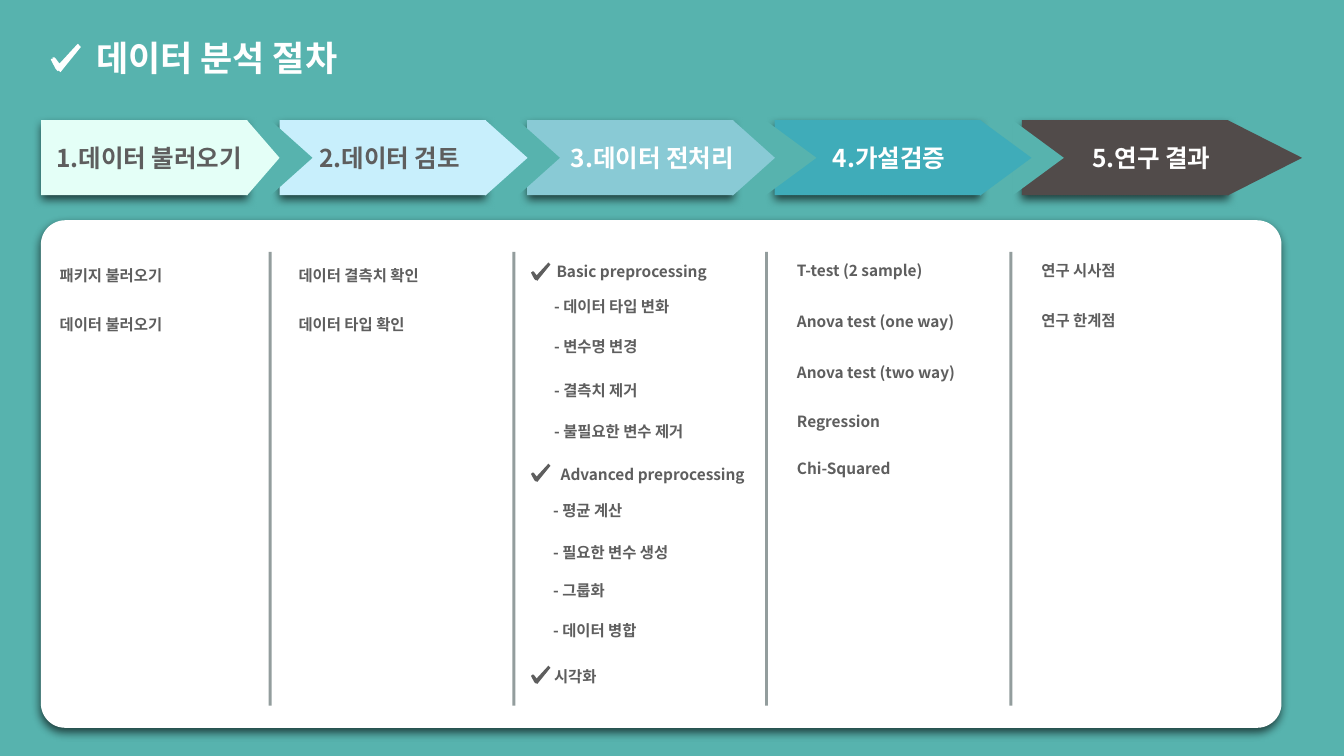
from lxml import etree
from pptx import Presentation
from pptx import util as u
from pptx.dml.color import RGBColor
from pptx.enum import shapes, text
from pptx.oxml import ns

Cm = u.Cm
FONT = "Noto Sans CJK KR"
TEAL = RGBColor(0x57, 0xB3, 0xAE)
WHITE = RGBColor(0xFF, 0xFF, 0xFF)
GREY = RGBColor(0x5E, 0x5E, 0x5E)
DIVIDER = RGBColor(0x93, 0x9D, 0x9D)
MINT = RGBColor(0xE4, 0xFF, 0xF7)
PALE_BLUE = RGBColor(0xC8, 0xEF, 0xFC)
SOFT_BLUE = RGBColor(0x89, 0xCA, 0xD5)
OCEAN = RGBColor(0x3F, 0xAC, 0xB9)
CHARCOAL = RGBColor(0x51, 0x4B, 0x4A)

presentation = Presentation()
presentation.slide_width, presentation.slide_height = Cm(67.74), Cm(38.1)
slide = presentation.slides.add_slide(presentation.slide_layouts[6])
slide.background.fill.solid()
slide.background.fill.fore_color.rgb = TEAL


def paint(shape, color, shadow=False):
    """Fill without outline; optionally cast a soft shadow downwards."""
    shape.fill.solid()
    shape.fill.fore_color.rgb = color
    shape.line.fill.background()
    shape.shadow.inherit = False
    if shadow:
        effects = shape.element.spPr.find(ns.qn("a:effectLst"))
        outer = etree.SubElement(effects, ns.qn("a:outerShdw"), blurRad=str(u.Pt(13)),
                                 dist=str(u.Pt(5.9)), dir="5400000", rotWithShape="0")
        black = etree.SubElement(outer, ns.qn("a:srgbClr"), val="000000")
        etree.SubElement(black, ns.qn("a:alpha"), val="63000")


def add_text(words, left, top, size=22, color=GREY, width=10.39, height=1.7):
    frame = slide.shapes.add_textbox(Cm(left), Cm(top), Cm(width), Cm(height)).text_frame
    frame.word_wrap = True
    frame.vertical_anchor = text.MSO_ANCHOR.MIDDLE
    frame.margin_left = frame.margin_right = Cm(0.14)
    frame.margin_top = frame.margin_bottom = Cm(0.14)
    run = frame.paragraphs[0].add_run()
    run.text = words
    run.font.size, run.font.bold, run.font.name = u.Pt(size), True, FONT
    run.font.color.rgb = color
    latin = run.font._element.find(ns.qn("a:latin"))
    latin.addnext(latin.makeelement(ns.qn("a:ea"), {"typeface": FONT}))


panel = slide.shapes.add_shape(shapes.MSO_SHAPE.ROUNDED_RECTANGLE,
                               Cm(2.06), Cm(11.1), Cm(62.53), Cm(25.58))
panel.adjustments[0] = 0.048
paint(panel, WHITE, shadow=True)

# Arrow body left, tip length, notch length, colour, heading, heading left, heading colour
steps = [
    (2.08, 1.65, 0, MINT, "1.데이터 불러오기", 2.69, GREY),
    (14.1, 2.13, 2.13, PALE_BLUE, "2.데이터 검토", 15.95, GREY),
    (26.57, 2.13, 2.13, SOFT_BLUE, "3.데이터 전처리", 28.63, WHITE),
    (39.04, 2.59, 2.59, OCEAN, "4.가설검증", 41.83, WHITE),
    (51.51, 3.76, 2.59, CHARCOAL, "5.연구 결과", 54.91, WHITE),
]
ARROW_TOP, ARROW_HEIGHT = 6.05, 3.81
# Later steps lie behind, so that each tip covers the next notch
for left, tip, notch, color, *_ in reversed(steps):
    body = slide.shapes.add_shape(shapes.MSO_SHAPE.RECTANGLE, Cm(left), Cm(ARROW_TOP),
                                  Cm(10.39), Cm(3.79))
    paint(body, color, shadow=True)
    for start, length, fill in ((left + 10.36, tip, color), (left - 0.48, notch, TEAL)):
        if length:
            builder = slide.shapes.build_freeform(Cm(start), Cm(ARROW_TOP))
            builder.add_line_segments([
                (Cm(start + length), Cm(ARROW_TOP + ARROW_HEIGHT / 2)),
                (Cm(start), Cm(ARROW_TOP + ARROW_HEIGHT))])
            paint(builder.convert_to_shape(), fill)

for left in (13.54, 25.83, 38.56, 50.88):
    divider = slide.shapes.add_shape(shapes.MSO_SHAPE.RECTANGLE, Cm(left), Cm(12.7),
                                     Cm(0.15), Cm(22.86))
    paint(divider, DIVIDER)

add_text("데이터 분석 절차", 4.7, 1.75, 50, WHITE, 34.98, 2.29)
for *_, heading, left, color in steps:
    add_text(heading, left, 7.11, 35, color)

items = [
    (2.87, [("패키지 불러오기", 13.03), ("데이터 불러오기", 15.52)]),
    (14.91, [("데이터 결측치 확인", 13.03), ("데이터 타입 확인", 15.52)]),
    (27.91, [("Basic preprocessing", 12.8)]),
    (27.79, [("- 데이터 타입 변화", 14.61), ("- 변수명 변경", 16.61),
             ("- 결측치 제거", 18.8), ("- 불필요한 변수 제거", 20.9)]),
    (28.12, [("Advanced preprocessing", 23.04)]),
    (27.74, [("- 평균 계산", 24.87), ("- 필요한 변수 생성", 27),
             ("- 그룹화", 28.91), ("- 데이터 병합", 30.91)]),
    (27.79, [("시각화", 33.22)]),
    (40.03, [("T-test (2 sample)", 12.75), ("Anova test (one way)", 15.32),
             ("Anova test (two way)", 17.91), ("Regression", 20.37),
             ("Chi-Squared", 22.76)]),
    (52.35, [("연구 시사점", 12.78), ("연구 한계점", 15.27)]),
]
for left, lines in items:
    for words, top in lines:
        add_text(words, left, top)

CHECK_WIDTH = 59
CHECK_OUTLINE = [(53, 0), (18, 38), (17, 39), (16, 38), (10, 30), (7, 27), (6, 27),
                 (3, 27), (4, 29), (0, 30), (0, 32), (9, 49), (13, 54), (15, 53),
                 (19, 56), (27, 46), (57, 9), (59, 7), (58, 4), (57, 4), (55, 2), (55, 1)]
for left, top, width, color in ((2.57, 2.21, 1.5, WHITE), (26.77, 13.23, 0.97, GREY),
                                (26.77, 23.37, 0.97, GREY), (26.77, 33.55, 0.97, GREY)):
    builder = slide.shapes.build_freeform(*CHECK_OUTLINE[0], scale=Cm(width) / CHECK_WIDTH)
    builder.add_line_segments(CHECK_OUTLINE[1:])
    paint(builder.convert_to_shape(Cm(left), Cm(top)), color)

presentation.save("out.pptx")
